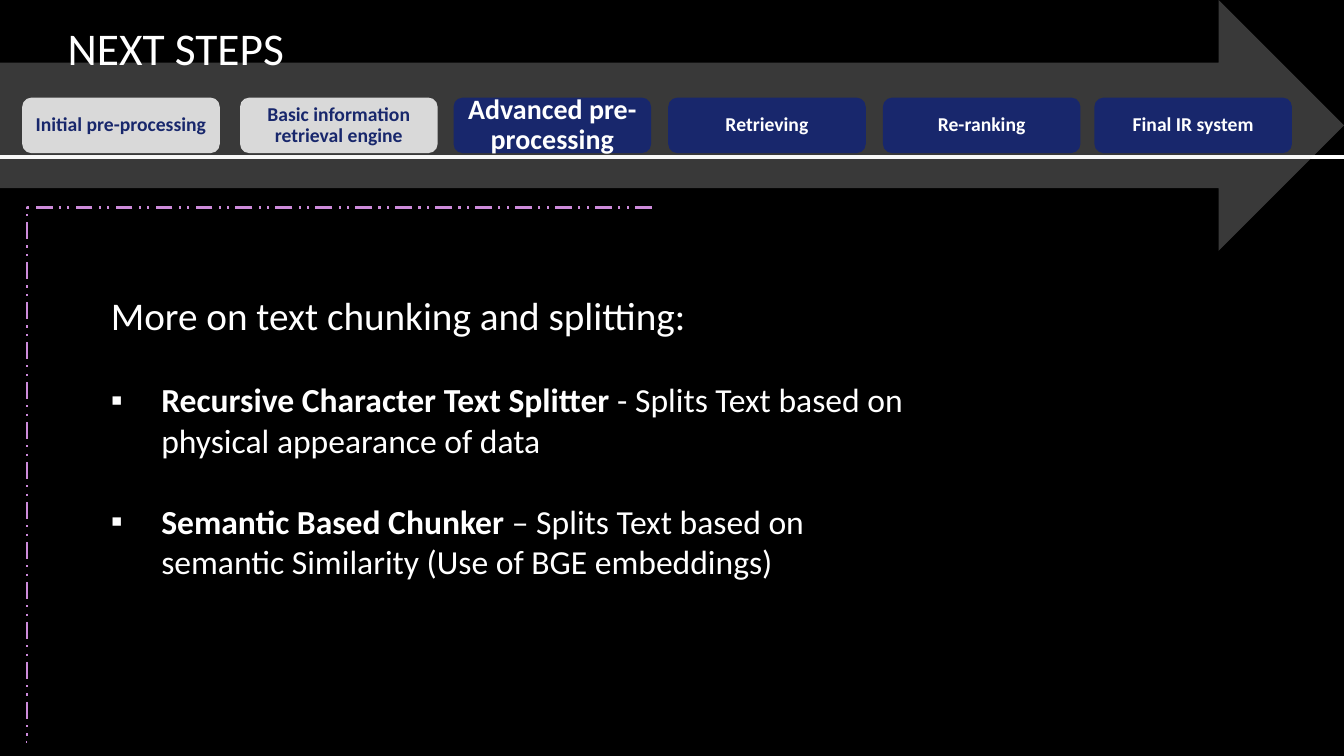
import pptx
import pptx.util
import pptx.dml.color
import pptx.enum.dml
import pptx.enum.shapes
import pptx.enum.text
import pptx.oxml
import pptx.oxml.ns

Cm = pptx.util.Cm
Pt = pptx.util.Pt
ALIGN = pptx.enum.text.PP_ALIGN
ANCHOR = pptx.enum.text.MSO_ANCHOR
SHAPE = pptx.enum.shapes.MSO_SHAPE
CONNECTOR = pptx.enum.shapes.MSO_CONNECTOR

WHITE, NAVY, GREY = "FFFFFF", "18276C", "D9D9D9"
STAGES = [
    (0.56, "Initial pre-processing", 14, GREY, NAVY),
    (6.05, "Basic information retrieval engine", 14, GREY, NAVY),
    (11.43, "Advanced pre-processing", 20, NAVY, WHITE),
    (16.84, "Retrieving", 14, NAVY, WHITE),
    (22.25, "Re-ranking", 14, NAVY, WHITE),
    (27.58, "Final IR system", 14, NAVY, WHITE),
]
HEADING = "More on text chunking and splitting:"
SPLITTERS = [
    ("Recursive Character Text Splitter",
     " - Splits Text based on physical appearance of data"),
    ("Semantic Based Chunker",
     " – Splits Text based on semantic Similarity (Use of BGE embeddings)"),
]


def apply(target, values):
    for name, value in values.items():
        setattr(target, name, value)


def paint(fill, color):
    fill.solid()
    fill.fore_color.rgb = pptx.dml.color.RGBColor.from_string(color)


def add_xml(parent, tag, **attributes):
    child = pptx.oxml.parse_xml(f"<{tag} {pptx.oxml.ns.nsdecls('a')}/>")
    for name, value in attributes.items():
        child.set(name, str(value))
    parent.append(child)
    return child


def add_span(para, text, size, color=WHITE, bold=False):
    span = para.add_run()
    span.text = text
    apply(span.font, {"name": "Calibri", "size": Pt(size), "bold": bold})
    paint(span.font.fill, color)


def add_block(slide, kind, left, top, width, height, color):
    block = slide.shapes.add_shape(kind, Cm(left), Cm(top), Cm(width), Cm(height))
    block.shadow.inherit = False
    paint(block.fill, color)
    block.line.fill.background()
    return block


def add_stage(slide, left, label, size, fill, color):
    box = add_block(slide, SHAPE.ROUNDED_RECTANGLE, left, 2.46, 4.98, 1.4, fill)
    inset = Cm(0.28 if size > 14 else 0.23)
    apply(box.text_frame, {
        "word_wrap": True, "vertical_anchor": ANCHOR.MIDDLE,
        "margin_left": inset, "margin_right": inset,
        "margin_top": 0, "margin_bottom": 0})
    para = box.text_frame.paragraphs[0]
    apply(para, {"alignment": ALIGN.CENTER, "line_spacing": 0.9})
    add_span(para, label, size, color, True)


def add_line(slide, kind, start, end, color, width):
    points = [Cm(value) for value in (*start, *end)]
    line = slide.shapes.add_connector(kind, *points)
    paint(line.line.fill, color)
    line.line.width = Pt(width)
    add_xml(line.element.spPr, "a:effectLst")
    return line


def add_frame_line(slide):
    frame = add_line(slide, CONNECTOR.ELBOW, (16.43, 5.23), (0.66, 18.69), "CD8BDA", 1.5)
    frame.line.dash_style = pptx.enum.dml.MSO_LINE.DASH_DOT_DOT
    guides = frame.element.spPr.find(pptx.oxml.ns.qn("a:prstGeom")).get_or_add_avLst()
    add_xml(guides, "a:gd", name="adj1", fmla="val 99800")


def place(holder, left, top, width, height, frame_format):
    apply(holder, {"left": Cm(left), "top": Cm(top), "width": Cm(width), "height": Cm(height)})
    apply(holder.text_frame, frame_format)
    holder.element.getparent().append(holder.element)


def fill_title(title):
    place(title, 1.45, 0.36, 27.43, 1.68,
          {"word_wrap": True, "vertical_anchor": ANCHOR.MIDDLE})
    para = title.text_frame.paragraphs[0]
    para.alignment = ALIGN.LEFT
    add_span(para, "NEXT STEPS", 32.4)


def format_list_para(para, space, indent, bullet):
    apply(para, {"alignment": ALIGN.LEFT, "space_before": Pt(space), "space_after": Pt(0)})
    properties = para._p.get_or_add_pPr()
    properties.set("marL", str(Cm(indent)))
    properties.set("indent", str(-Cm(indent)))
    if bullet:
        add_xml(properties, "a:buChar", char=bullet)
    else:
        add_xml(properties, "a:buNone")


def fill_body(body):
    place(body, 2.54, 7.21, 20.8, 7.62, {
        "word_wrap": True, "vertical_anchor": ANCHOR.TOP,
        "auto_size": pptx.enum.text.MSO_AUTO_SIZE.SHAPE_TO_FIT_TEXT})
    heading = body.text_frame.paragraphs[0]
    format_list_para(heading, 0, 0, None)
    add_span(heading, HEADING, 28)
    for name, description in SPLITTERS:
        para = body.text_frame.add_paragraph()
        format_list_para(para, 29.3, 1.27, "▪")
        add_span(para, name, 24, bold=True)
        add_span(para, description, 24)


def main():
    deck = pptx.Presentation()
    apply(deck, {"slide_width": Cm(33.87), "slide_height": Cm(19.05)})
    slide = deck.slides.add_slide(deck.slide_layouts[1])
    paint(slide.background.fill, "000000")

    add_line(slide, CONNECTOR.STRAIGHT, (0, 3.96), (33.87, 3.96), WHITE, 3)
    arrow = add_block(slide, SHAPE.RIGHT_ARROW, 0, 0, 33.87, 6.32, "E6E6E6")
    tint = arrow.element.spPr.find(".//" + pptx.oxml.ns.qn("a:srgbClr"))
    add_xml(tint, "a:alpha", val=25000)
    for stage in STAGES:
        add_stage(slide, *stage)

    fill_title(slide.shapes.title)
    add_frame_line(slide)
    fill_body(slide.placeholders[1])
    deck.save("out.pptx")


if __name__ == "__main__":
    main()
